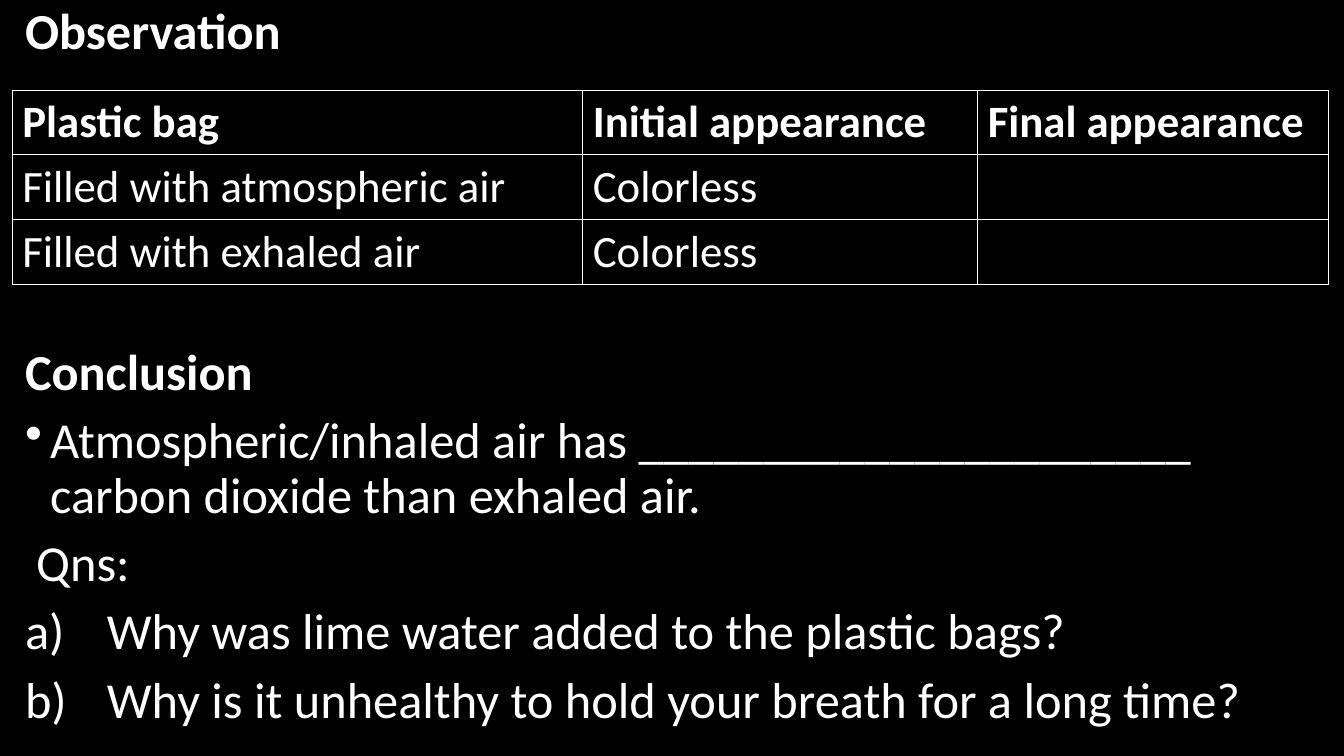
"""Build the slide with the observation table, conclusion and questions on air and lime water."""
import pptx
import pptx.dml.color
import pptx.oxml
import pptx.oxml.ns
import pptx.util

Pt = pptx.util.Pt


def color(code):
    return pptx.dml.color.RGBColor.from_string(code)


def style(paragraph, size, bold):
    paragraph.font.name = "Calibri"
    paragraph.font.size = Pt(size)
    paragraph.font.bold = bold
    paragraph.font.color.rgb = color("FFFFFF")


deck = pptx.Presentation()
deck.slide_width, deck.slide_height = Pt(960), Pt(540)
slide = deck.slides.add_slide(deck.slide_layouts[6])
slide.background.fill.solid()
slide.background.fill.fore_color.rgb = color("000000")

BULLET = '<a:buChar {} char="•"/>'
LETTER = '<a:buAutoNum {} type="alphaLcParenR"/>'
NAMESPACE = pptx.oxml.ns.nsdecls("a")

sections = [
    (0.7, 50, [("Observation", True, 0, 0, None)]),
    (244, 295, [
        ("Conclusion", True, 0, 0, None),
        ("Atmospheric/inhaled air has ______________________ carbon dioxide than exhaled air.",
         False, 18, -18, BULLET),
        ("Qns:", False, 8, 0, None),
        ("Why was lime water added to the plastic bags?", False, 58.5, -58.5, LETTER),
        ("Why is it unhealthy to hold your breath for a long time?", False, 58.5, -58.5, LETTER),
    ]),
]
for top, height, lines in sections:
    section = slide.shapes.add_textbox(Pt(10.8), Pt(top), Pt(939), Pt(height)).text_frame
    section.word_wrap = True
    for index, (text, bold, margin, indent, marker) in enumerate(lines):
        line = section.add_paragraph() if index else section.paragraphs[0]
        line.text = text
        line.line_spacing = 0.9
        line.space_before = Pt(10 if index else 0)
        properties = line._p.get_or_add_pPr()
        properties.set("marL", str(Pt(margin)))
        properties.set("indent", str(Pt(indent)))
        if marker:
            properties.append(pptx.oxml.parse_xml(marker.format(NAMESPACE)))
        style(line, 36, bold)

observations = [
    ("Plastic bag", "Initial appearance", "Final appearance"),
    ("Filled with atmospheric air", "Colorless", ""),
    ("Filled with exhaled air", "Colorless", ""),
]
table = slide.shapes.add_table(3, 3, Pt(8.8), Pt(64.4), Pt(940), Pt(138.6)).table
for column, width in zip(table.columns, (407.5, 282.2, 250.3)):
    column.width = Pt(width)
for row_index, row in enumerate(observations):
    for column_index, text in enumerate(row):
        cell = table.cell(row_index, column_index)
        cell.text = text
        style(cell.text_frame.paragraphs[0], 32, row_index == 0)
        cell.fill.background()
        for position, side in enumerate(("lnL", "lnR", "lnT", "lnB")):
            border = pptx.oxml.parse_xml(
                f'<a:{side} {NAMESPACE} w="{Pt(1)}"><a:solidFill>'
                f'<a:srgbClr val="FFFFFF"/></a:solidFill></a:{side}>')
            cell._tc.get_or_add_tcPr().insert(position, border)

deck.save("out.pptx")
